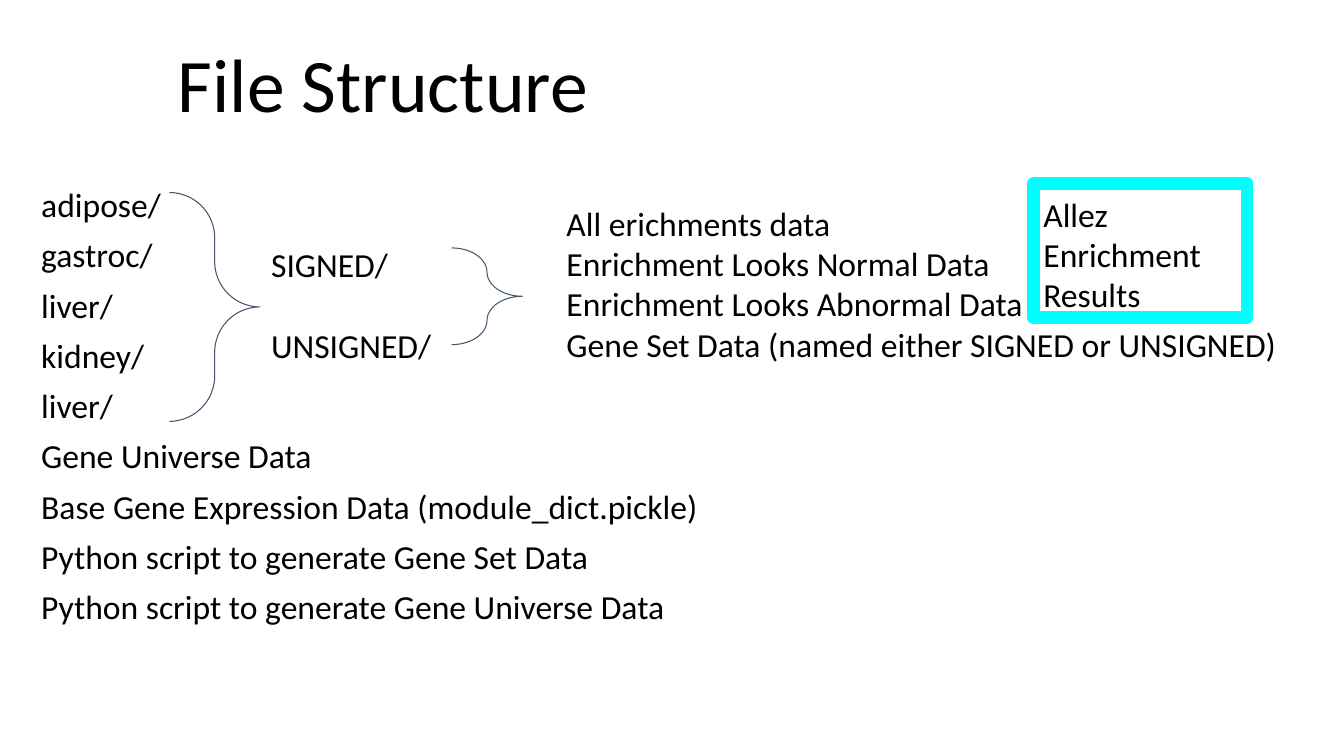
from lxml import etree
from pptx import Presentation
from pptx.dml.color import RGBColor
from pptx.enum.shapes import MSO_SHAPE
from pptx.enum.text import MSO_ANCHOR, PP_ALIGN
from pptx.oxml.ns import qn
from pptx.util import Inches, Pt

BRACE = MSO_SHAPE.RIGHT_BRACE
RECT = MSO_SHAPE.RECTANGLE
TOP = MSO_ANCHOR.TOP
BOTTOM = MSO_ANCHOR.BOTTOM
LEFT = PP_ALIGN.LEFT
BLACK = RGBColor(0x00, 0x00, 0x00)
SLATE = RGBColor(0x44, 0x54, 0x6A)
CYAN = RGBColor(0x00, 0xFF, 0xFF)

FOLDERS = ["adipose/", "gastroc/", "liver/", "kidney/", "liver/"]
FILES = [
    "Gene Universe Data",
    "Base Gene Expression Data (module_dict.pickle)",
    "Python script to generate Gene Set Data",
    "Python script to generate Gene Universe Data",
]
SIGNS = ["SIGNED/", "UNSIGNED/"]
DATA = [
    "All erichments data",
    "Enrichment Looks Normal Data",
    "Enrichment Looks Abnormal Data",
    "Gene Set Data (named either SIGNED or UNSIGNED)",
]
RESULTS = ["Allez", "Enrichment", "Results"]


class Page:
    font = "Calibri"
    size = 24

    def __init__(self, deck):
        self.wide = deck.slide_width
        self.high = deck.slide_height
        self.shapes = deck.slides.add_slide(deck.slide_layouts[6]).shapes

    def place(self, left, top, width, height):
        return (int(self.wide * left / 100), int(self.high * top / 100),
                int(self.wide * width / 100), int(self.high * height / 100))

    def label(self, shape, lines, size=size, anchor=TOP, pad=0.1, gap=0, pitch=None):
        frame = shape.text_frame
        frame.text = "\n".join(lines)
        frame.word_wrap = True
        frame.vertical_anchor = anchor
        frame.margin_left = frame.margin_right = Inches(0.1)
        frame.margin_top = frame.margin_bottom = Inches(pad)
        for order, line in enumerate(frame.paragraphs):
            line.alignment = LEFT
            if pitch:
                line.line_spacing = pitch
            if order:
                line.space_before = Pt(gap)
            for run in line.runs:
                run.font.name = self.font
                run.font.size = Pt(size)
                run.font.color.rgb = BLACK

    def text(self, area, lines, **style):
        self.label(self.shapes.add_textbox(*self.place(*area)), lines, **style)

    def outline(self, kind, area, color, weight):
        shape = self.shapes.add_shape(kind, *self.place(*area))
        shape.shadow.inherit = False
        shape.fill.background()
        shape.line.color.rgb = color
        shape.line.width = Pt(weight)
        return shape

    def brace(self, area):
        shape = self.outline(BRACE, area, SLATE, 0.75)
        shape.adjustments[0] = 0.5
        shape.adjustments[1] = 0.5

    def frame(self, area, lines):
        shape = self.outline(RECT, area, CYAN, 9)
        etree.SubElement(shape.element.spPr.find(qn("a:ln")), qn("a:round"))
        self.label(shape, lines)


def main():
    deck = Presentation()
    deck.slide_width = Inches(13.33)
    deck.slide_height = Inches(7.5)
    page = Page(deck)
    page.text((12.5, 9.07, 75, 8.67), ["File Structure"],
              size=54, anchor=BOTTOM, pad=0.05, pitch=0.9)
    page.text((2.33, 24.27, 53.86, 68.53), FOLDERS + FILES,
              pad=0.05, gap=10, pitch=0.9)
    page.brace((12.6, 25.47, 6.75, 30.27))
    page.text((19.43, 30.93, 15.9, 14.93), SIGNS, gap=29)
    page.brace((33.61, 32.8, 5.25, 12.8))
    page.text((41.41, 25.47, 54.5, 20.27), DATA)
    page.frame((76.89, 24.27, 15.9, 17.73), RESULTS)
    deck.save("out.pptx")


if __name__ == "__main__":
    main()
